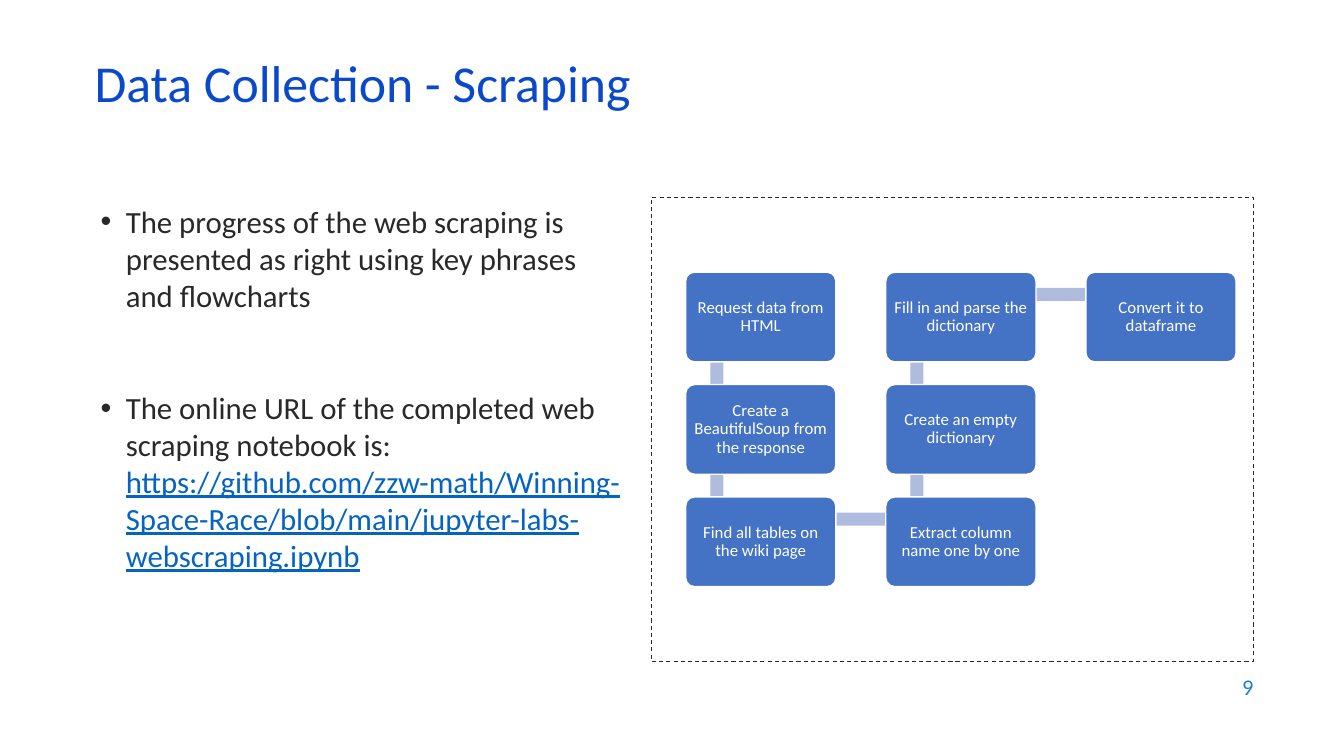
import pptx
import pptx.util
import pptx.dml.color
import pptx.enum.dml
import pptx.enum.shapes
import pptx.enum.text
import pptx.oxml
import pptx.oxml.ns

Inches = pptx.util.Inches
Pt = pptx.util.Pt
ALIGN = pptx.enum.text.PP_ALIGN
ANCHOR = pptx.enum.text.MSO_ANCHOR
SHAPE = pptx.enum.shapes.MSO_SHAPE

# Boxes of the flowchart in reading order: label, column, row
STEPS = [
    ("Request data from HTML", 0, 0),
    ("Create a BeautifulSoup from the response", 0, 1),
    ("Find all tables on the wiki page", 0, 2),
    ("Extract column name one by one", 1, 2),
    ("Create an empty dictionary", 1, 1),
    ("Fill in and parse the dictionary", 1, 0),
    ("Convert it to dataframe", 2, 0),
]


def color(value):
    return pptx.dml.color.RGBColor.from_string(value)


def set_all(target, formats):
    for name, value in formats.items():
        setattr(target, name, value)


def add_run(paragraph, text, size, hex_color, underline=None):
    run = paragraph.add_run()
    run.text = text
    set_all(run.font, {"name": "Calibri", "size": Pt(size), "underline": underline})
    run.font.color.rgb = color(hex_color)


def add_text_box(slide, box, anchor):
    frame = slide.shapes.add_textbox(*map(Inches, box)).text_frame
    set_all(frame, {"word_wrap": True, "vertical_anchor": anchor})
    return frame


def add_block(slide, kind, box, fill=None):
    shape = slide.shapes.add_shape(kind, *map(Inches, box))
    shape.shadow.inherit = False
    if fill:
        shape.fill.solid()
        shape.fill.fore_color.rgb = color(fill)
    else:
        shape.fill.background()
    shape.line.fill.background()
    return shape


def set_line(shape, hex_color, width):
    shape.line.color.rgb = color(hex_color)
    shape.line.width = Pt(width)


def add_bullet(paragraph):
    properties = paragraph._p.get_or_add_pPr()
    properties.set("marL", str(Inches(0.25)))
    properties.set("indent", str(-Inches(0.25)))
    namespace = pptx.oxml.ns.nsdecls("a")
    for tag in ('buFont typeface="Arial"', 'buChar char="•"'):
        properties.append(pptx.oxml.parse_xml(f"<a:{tag} {namespace}/>"))


def add_title(slide, box):
    paragraph = add_text_box(slide, box, ANCHOR.MIDDLE).paragraphs[0]
    paragraph.line_spacing = 0.7
    add_run(paragraph, "Data Collection - Scraping", 37, "0B49CB")


def add_body(slide, box):
    frame = add_text_box(slide, box, ANCHOR.TOP)
    progress, address = frame.paragraphs[0], frame.add_paragraph()
    for paragraph in (progress, address):
        add_bullet(paragraph)
    address.space_before = Pt(54)
    add_run(progress, "The progress of the web scraping is presented as right "
            "using key phrases and flowcharts", 22, "292929")
    add_run(address, "The online URL of the completed web scraping notebook is: ",
            22, "292929")
    add_run(address, "https://github.com/zzw-math/Winning-Space-Race/blob/main/"
            "jupyter-labs-webscraping.ipynb", 22, "0563C1", True)


def add_flowchart(slide, box):
    left, top, width, height = box
    step_width, step_height = 1.49, 0.89
    column_pitch, row_pitch = 1.985, 1.115
    bar = 0.13

    # Dashed frame
    frame = add_block(slide, SHAPE.RECTANGLE, box)
    set_line(frame, "292929", 0.75)
    frame.line.dash_style = pptx.enum.dml.MSO_LINE.DASH

    # Corners of the steps
    corners = [(left + 0.34 + column * column_pitch, top + 0.74 + row * row_pitch)
               for label, column, row in STEPS]

    # Bars that link each step to the next
    anchors = [(x + 0.31, y + 0.22) for x, y in corners]
    for (x1, y1), (x2, y2) in zip(anchors, anchors[1:]):
        across, down = abs(x2 - x1), abs(y2 - y1)
        if across > down:
            place = (min(x1, x2), y1 - bar / 2, across, bar)
        else:
            place = (x1 - bar / 2, min(y1, y2), bar, down)
        add_block(slide, SHAPE.RECTANGLE, place, "B0BCDE")

    # Steps
    for (label, column, row), (x, y) in zip(STEPS, corners):
        step = add_block(slide, SHAPE.ROUNDED_RECTANGLE,
                         (x, y, step_width, step_height), "4472C4")
        step.adjustments[0] = 0.1
        set_line(step, "FFFFFF", 1)
        margins = {f"margin_{side}": Inches(0.04)
                   for side in ("left", "right", "top", "bottom")}
        set_all(step.text_frame, {"word_wrap": True,
                                  "vertical_anchor": ANCHOR.MIDDLE, **margins})
        paragraph = step.text_frame.paragraphs[0]
        set_all(paragraph, {"alignment": ALIGN.CENTER, "line_spacing": 0.9})
        add_run(paragraph, label, 12, "FFFFFF")


def add_page_number(slide, box):
    paragraph = add_text_box(slide, box, ANCHOR.MIDDLE).paragraphs[0]
    paragraph.alignment = ALIGN.RIGHT
    add_run(paragraph, "9", 16, "1C7DDB")


def main():
    presentation = pptx.Presentation()
    presentation.slide_width = Inches(13.33)
    presentation.slide_height = Inches(7.5)
    slide = presentation.slides.add_slide(presentation.slide_layouts[6])
    add_title(slide, (0.84, 0.59, 11.5, 0.6))
    add_body(slide, (0.9, 1.96, 5.45, 4.17))
    add_flowchart(slide, (6.46, 1.96, 5.97, 4.6))
    add_page_number(slide, (9.53, 6.59, 3, 0.44))
    presentation.save("out.pptx")


if __name__ == "__main__":
    main()
